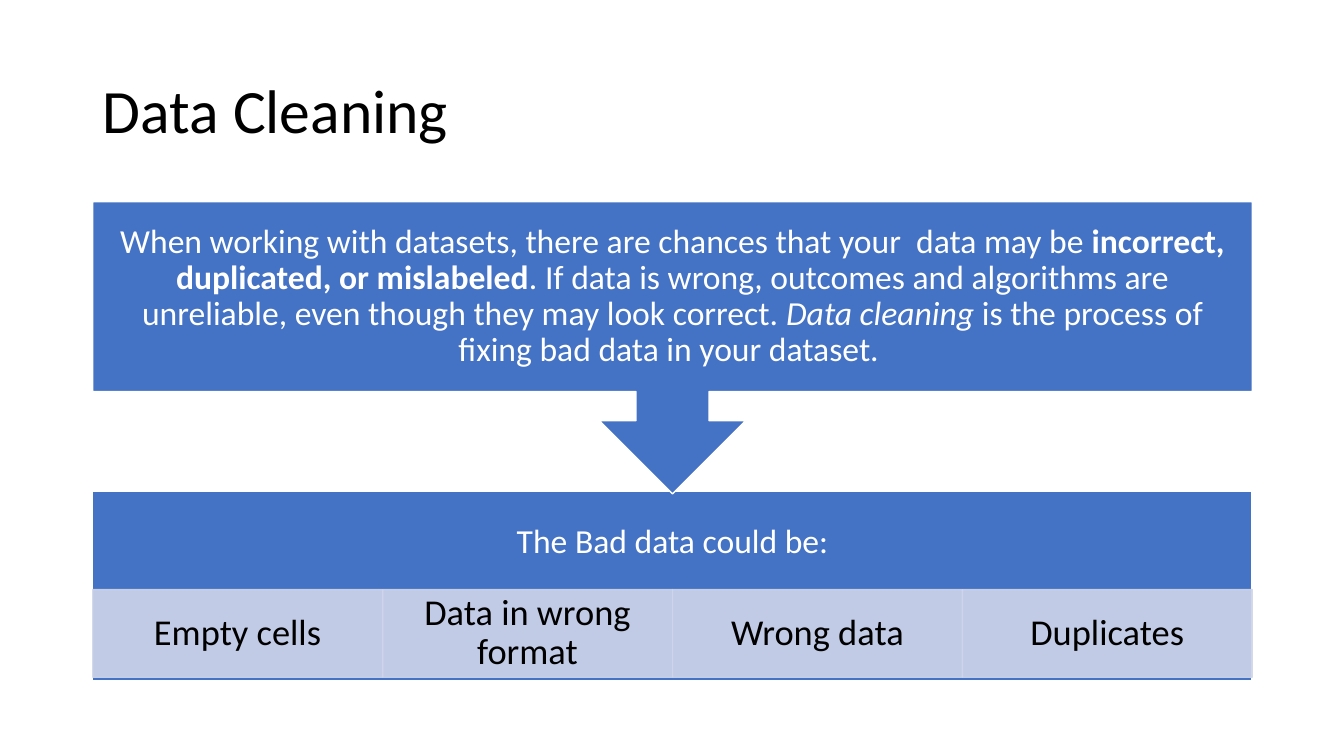
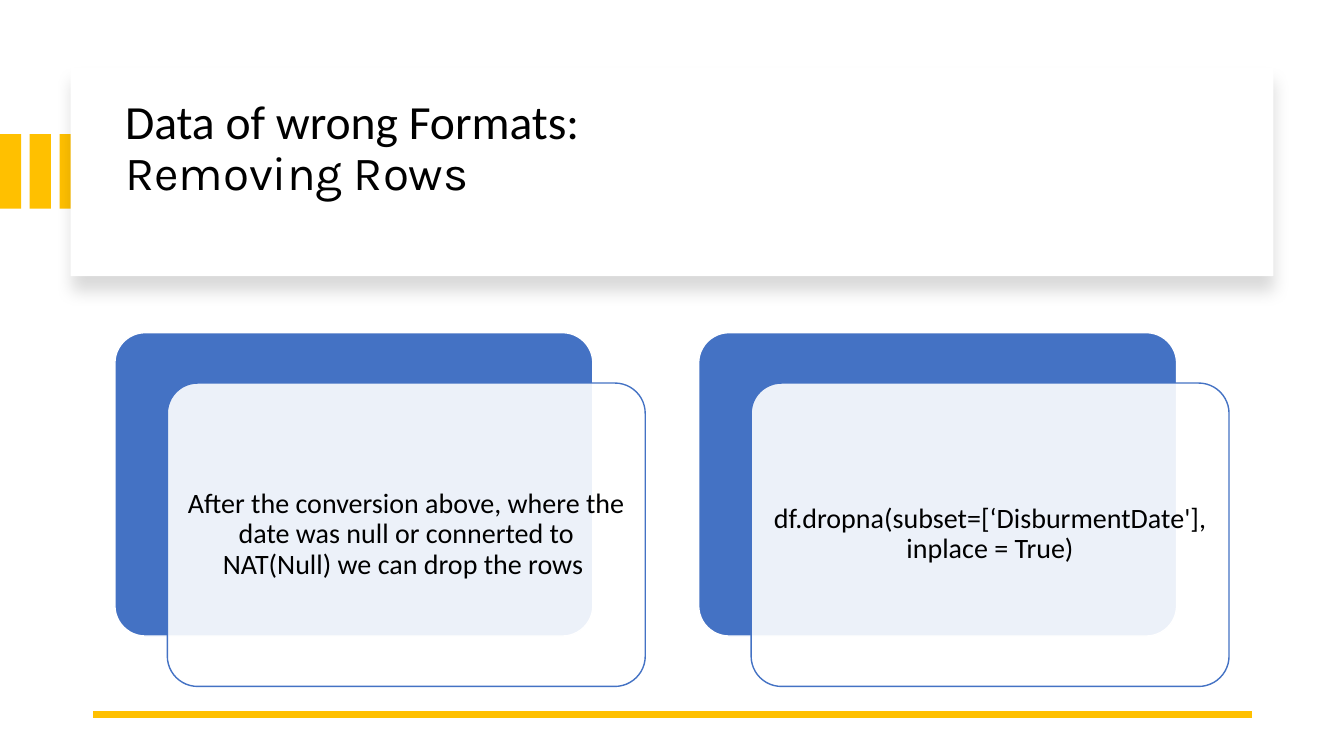
from dataclasses import dataclass

from lxml.etree import SubElement
from pptx import Presentation
from pptx.dml.color import RGBColor
from pptx.enum.shapes import MSO_CONNECTOR, MSO_SHAPE
from pptx.enum.text import MSO_ANCHOR, MSO_AUTO_SIZE, PP_ALIGN
from pptx.oxml.ns import qn
from pptx.util import Inches, Pt

RECT, ROUND = MSO_SHAPE.RECTANGLE, MSO_SHAPE.ROUNDED_RECTANGLE
CALLOUT = MSO_SHAPE.DOWN_ARROW_CALLOUT
LEFT, CENTER = PP_ALIGN.LEFT, PP_ALIGN.CENTER
MIDDLE, NO_FIT = MSO_ANCHOR.MIDDLE, MSO_AUTO_SIZE.NONE


@dataclass(frozen=True)
class Theme:
    font: str = "Calibri"
    accent_font: str = "Karla"
    blue: str = "4472C4"
    pale: str = "CFD5EA"
    gold: str = "FFC000"
    white: str = "FFFFFF"
    black: str = "000000"
    title: int = 44
    subtitle: int = 34
    cell: int = 26
    text: int = 24
    note: int = 20
    spacing: float = 0.9


theme = Theme()


def write(shape, lines, size, color, align, insets):
    """Fill a shape with lines of (text, font values) runs; insets run left, top, right, bottom."""
    frame = shape.text_frame
    form = {"word_wrap": True, "auto_size": NO_FIT, "vertical_anchor": MIDDLE}
    for side, inset in zip(("left", "top", "right", "bottom"), insets):
        form["margin_" + side] = Inches(inset)
    for name, value in form.items():
        setattr(frame, name, value)
    para = frame.paragraphs[0]
    para.alignment, para.line_spacing = align, theme.spacing
    for row, line in enumerate(lines):
        if row:
            para.add_line_break()
        for text, style in line:
            run = para.add_run()
            run.text = text
            run.font.color.rgb = RGBColor.from_string(color)
            for name, value in {"name": theme.font, "size": Pt(size), **style}.items():
                setattr(run.font, name, value)


def box(slide, at, fill, line=None, kind=RECT, clear=0):
    """Add a flat shape; clear counts the colours, fill first, drawn at 90% opacity."""
    shape = slide.shapes.add_shape(kind, *map(Inches, at))
    shape.shadow.inherit = False
    shape.fill.solid()
    shape.fill.fore_color.rgb = RGBColor.from_string(fill)
    if line:
        shape.line.color.rgb = RGBColor.from_string(line)
        shape.line.width = Pt(1)
    else:
        shape.line.fill.background()
    for color in list(shape.element.spPr.iter(qn("a:srgbClr")))[:clear]:
        SubElement(color, qn("a:alpha"), val="90000")
    return shape


deck = Presentation()
deck.slide_width, deck.slide_height = Inches(13.33), Inches(7.5)
layout = deck.slide_layouts[5]

edge, span = 0.92, 11.5
titles = [
    ((edge, 0.4, span, 1.45), theme.title, 0.05, [[("Data Cleaning", {})]]),
    ((1.14, 0.89, 11.13, 1.7), theme.subtitle, 0.56,
     [[("Data of wrong Formats:", {})],
      [("Removing Rows", {"name": theme.accent_font})]]),
]
slides = []
for at, size, bottom, lines in titles:
    slide = deck.slides.add_slide(layout)
    title = slide.shapes.title
    for name, value in zip(("left", "top", "width", "height"), at):
        setattr(title, name, Inches(value))
    write(title, lines, size, theme.black, LEFT, (0.1, 0.05, 0.1, bottom))
    slides.append(slide)
clean, drop = slides

# Data Cleaning: statement, arrow and kinds of bad data
base = box(clean, (edge, 4.87, span, 1.88), theme.blue, theme.white)
write(base, [[("The Bad data could be:", {})]], theme.text, theme.white,
      CENTER, (0.19, 0.19, 0.19, 1.05))

kinds = ["Empty cells", "Data in wrong format", "Wrong data", "Duplicates"]
width = span / len(kinds)
for col, kind in enumerate(kinds):
    cell = box(clean, (edge + col * width, 5.85, width, 0.87), theme.pale, theme.pale, clear=2)
    write(cell, [[(kind, {})]], theme.cell, theme.black, CENTER, (0.2, 0.04, 0.2, 0.04))

claim = box(clean, (edge, 2, span, 2.9), theme.blue, theme.white, CALLOUT)
write(claim, [[
    ("When working with datasets, there are chances that your  data may be ", {}),
    ("incorrect, duplicated, or mislabeled", {"bold": True}),
    (". If data is wrong, outcomes and algorithms are unreliable, "
     "even though they may look correct. ", {}),
    ("Data cleaning", {"italic": True}),
    (" is the process of fixing bad data in your dataset. ", {}),
]], theme.text, theme.white, CENTER, (0.19,) * 4)

# Removing Rows: stripes, title card, rule and two stacked panels
for col in range(3):
    box(drop, (col * 0.295, 1.33, 0.21, 0.74), theme.gold)

card = box(drop, (0.7, 0.67, 11.93, 2.07), theme.white)
shade = SubElement(card.element.spPr.find(qn("a:effectLst")), qn("a:outerShdw"),
                   blurRad=str(Pt(11)), dist=str(Pt(10)), dir="5400000", rotWithShape="0")
SubElement(SubElement(shade, qn("a:srgbClr"), val=theme.black), qn("a:alpha"), val="15000")
card.element.addnext(drop.shapes.title.element)

rule = drop.shapes.add_connector(MSO_CONNECTOR.STRAIGHT, Inches(edge + span), Inches(7.09),
                                 Inches(edge), Inches(7.09))
rule.line.color.rgb = RGBColor.from_string(theme.gold)
rule.line.width = Pt(4.5)
SubElement(rule.element.spPr, qn("a:effectLst"))

notes = [
    "After the conversion above, where the date was null or connerted to "
    "NAT(Null) we can drop the rows ",
    "df.dropna(subset=[‘DisburmentDate'], inplace = True)",
]
for col, note in enumerate(notes):
    left = 1.14 + col * 5.79
    back = box(drop, (left, 3.3, 4.74, 3.01), theme.blue, theme.white, ROUND)
    front = box(drop, (left + 0.52, 3.8, 4.74, 3.01), theme.white, theme.blue, ROUND, clear=1)
    for panel in (back, front):
        panel.adjustments[0] = 0.1
    # The rounded corner already insets the text by 0.09 inches.
    write(front, [[(note, {})]], theme.note, theme.black, CENTER, (0.08,) * 4)

deck.save("out.pptx")
